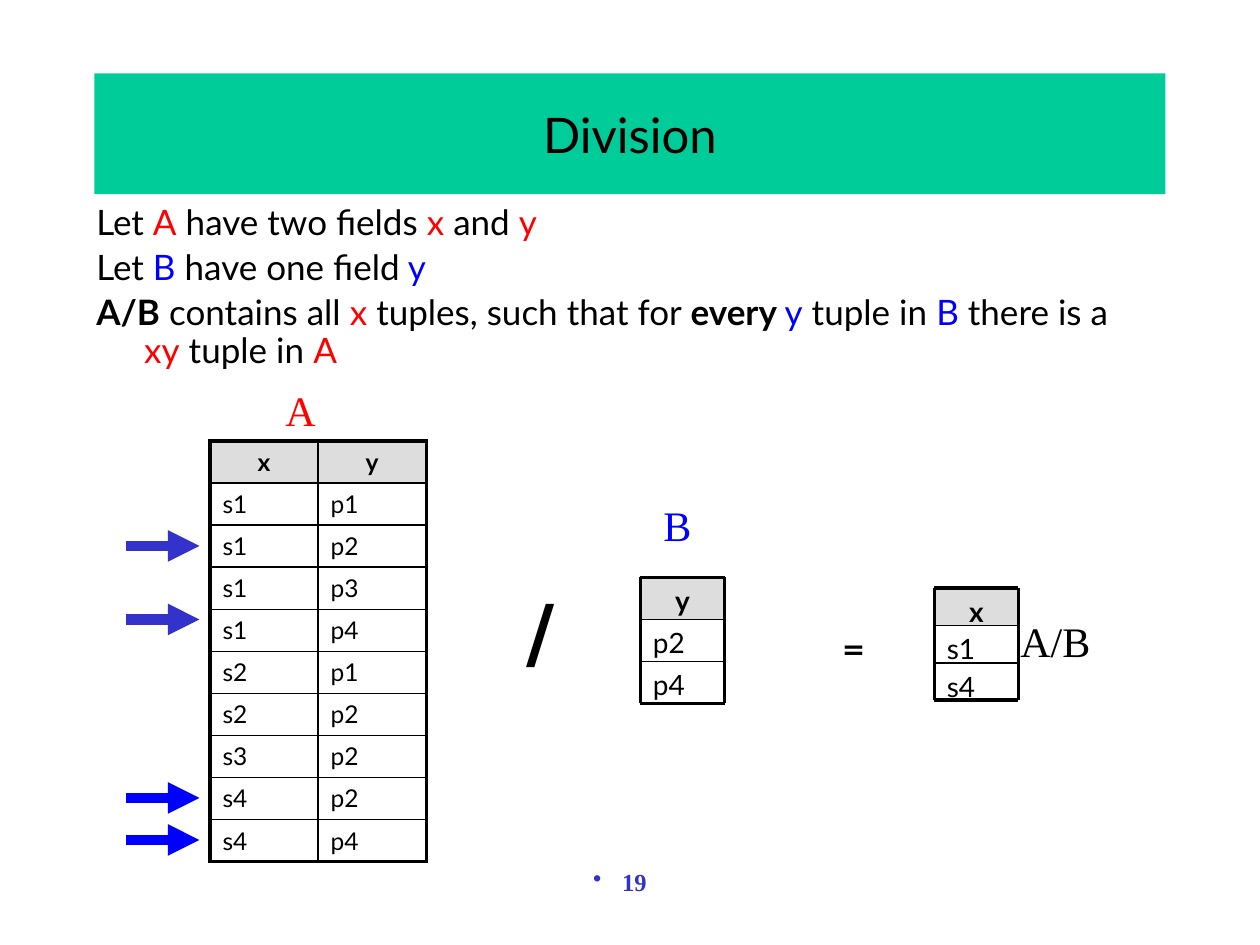
"""Build a slide that explains relational division with three small tables."""
from dataclasses import dataclass

from lxml import etree
from pptx import Presentation
from pptx.dml.color import RGBColor
from pptx.enum.shapes import MSO_CONNECTOR, MSO_SHAPE
from pptx.enum.text import MSO_ANCHOR, MSO_AUTO_SIZE, PP_ALIGN
from pptx.oxml.ns import qn
from pptx.util import Inches, Pt

RECT, STRAIGHT = MSO_SHAPE.RECTANGLE, MSO_CONNECTOR.STRAIGHT
LEFT, CENTER = PP_ALIGN.LEFT, PP_ALIGN.CENTER
TOP, MIDDLE = MSO_ANCHOR.TOP, MSO_ANCHOR.MIDDLE
FIT, NO_FIT = MSO_AUTO_SIZE.SHAPE_TO_FIT_TEXT, MSO_AUTO_SIZE.NONE
COLS, ROWS = 120, 90


@dataclass(frozen=True)
class Theme:
    sans: str = "Lato"
    serif: str = "Times New Roman"
    symbol: str = "DejaVu Sans"
    ink: str = "000000"
    red: str = "FF0000"
    blue: str = "0000FF"
    indigo: str = "3333CC"
    green: str = "00CC99"
    grey: str = "DDDDDD"
    title: int = 28
    body: int = 20
    label: int = 24
    cell: int = 14
    small_cell: int = 16
    slash: int = 44
    thick: float = 2.25
    thin: float = 1
    arrow: float = 6


T = Theme()


@dataclass(frozen=True)
class Box:
    x: float
    y: float
    w: float
    h: float

    def emu(self) -> list:
        return [grid(v) for v in (self.x, self.y, self.w, self.h)]


@dataclass(frozen=True)
class Run:
    text: str
    color: str = T.ink
    bold: bool = False


@dataclass(frozen=True)
class Style:
    size: float
    font: str = T.sans
    align: PP_ALIGN = LEFT
    before: float = 0


@dataclass(frozen=True)
class Label:
    box: Box
    run: Run
    style: Style


@dataclass(frozen=True)
class OneColumn:
    box: Box
    values: tuple


@dataclass(frozen=True)
class Arrow:
    y: float
    color: str


def grid(units: float) -> int:
    """Turn grid units into a length."""
    return Inches(units * 10 / COLS)


def rgb(color: str) -> RGBColor:
    """Turn a hex string into a colour."""
    return RGBColor.from_string(color)


def write(p, runs: list, style: Style) -> None:
    """Write runs into a paragraph."""
    p.alignment = style.align
    p.space_before = Pt(style.size * style.before)
    for run in runs:
        r = p.add_run()
        r.text = run.text
        r.font.name, r.font.size, r.font.bold = style.font, Pt(style.size), run.bold
        r.font.color.rgb = rgb(run.color)


def add_text(s, box: Box, lines: list, style: Style, wrap: bool = True):
    """Add a text box and return its text frame."""
    tf = s.shapes.add_textbox(*box.emu()).text_frame
    tf.word_wrap = wrap
    tf.auto_size = NO_FIT if wrap else FIT
    for i, runs in enumerate(lines):
        write(tf.add_paragraph() if i else tf.paragraphs[0], runs, style)
    return tf


def add_band(s, box: Box, color: str, run: Run, style: Style, anchor: MSO_ANCHOR) -> None:
    """Add a filled rectangle with one line of text."""
    sp = s.shapes.add_shape(RECT, *box.emu())
    sp.shadow.inherit = False
    sp.fill.solid()
    sp.fill.fore_color.rgb = rgb(color)
    sp.line.fill.background()
    tf = sp.text_frame
    tf.word_wrap = True
    tf.vertical_anchor = anchor
    write(tf.paragraphs[0], [run], style)


def add_line(s, x1: float, y1: float, x2: float, y2: float, width: float, color: str = T.ink):
    """Add a straight line without a shadow."""
    line = s.shapes.add_connector(STRAIGHT, *[grid(v) for v in (x1, y1, x2, y2)])
    line.line.width = Pt(width)
    line.line.color.rgb = rgb(color)
    etree.SubElement(line._element.spPr, qn("a:effectLst"))
    return line


def add_arrow(s, arrow: Arrow) -> None:
    """Add a thick arrow that points at a table row."""
    line = add_line(s, 12, arrow.y, 19, arrow.y, T.arrow, arrow.color)
    etree.SubElement(line.line._get_or_add_ln(), qn("a:tailEnd"), type="triangle")


def add_one_column(s, col: OneColumn) -> None:
    """Draw a ruled column with a shaded heading."""
    b, n = col.box, len(col.values)
    step = b.h / n
    for i, value in enumerate(col.values):
        cell = Box(b.x, b.y + i * step, b.w, step)
        run = Run(value, bold=i == 0)
        style = Style(T.small_cell, align=LEFT if i else CENTER, before=0.2)
        if i:
            add_text(s, cell, [[run]], style)
        else:
            add_band(s, cell, T.grey, run, style, TOP)
    for i in range(n + 1):
        y = b.y + i * step
        add_line(s, b.x, y, b.x + b.w, y, T.thick if i in (0, n) else T.thin)
    for x in (b.x, b.x + b.w):
        add_line(s, x, b.y, x, b.y + b.h, T.thick)


def set_borders(cell, outer: dict) -> None:
    """Rule the four sides of a cell, thick on the outer ones."""
    tc_pr = cell._tc.get_or_add_tcPr()
    for i, (side, is_outer) in enumerate(outer.items()):
        ln = etree.Element(qn(f"a:ln{side}"), w=str(Pt(T.thick if is_outer else T.thin)))
        fill = etree.SubElement(ln, qn("a:solidFill"))
        etree.SubElement(fill, qn("a:srgbClr"), val=T.ink)
        tc_pr.insert(i, ln)


def add_table(s, box: Box, rows: list) -> None:
    """Add a ruled table with a shaded heading row."""
    n, m = len(rows), len(rows[0])
    table = s.shapes.add_table(n, m, *box.emu()).table
    table.first_row = table.horz_banding = False
    for i, row in enumerate(rows):
        table.rows[i].height = grid(box.h / n)
        for j, value in enumerate(row):
            cell = table.cell(i, j)
            if i:
                cell.fill.background()
            else:
                cell.fill.solid()
                cell.fill.fore_color.rgb = rgb(T.grey)
            set_borders(cell, {"L": j == 0, "R": j == m - 1, "T": i == 0, "B": i == n - 1})
            style = Style(T.cell, align=LEFT if i else CENTER)
            write(cell.text_frame.paragraphs[0], [Run(value, bold=i == 0)], style)


def add_page_number(s, number: str) -> None:
    """Add the bulleted page number at the foot."""
    run = Run(number, T.indigo, True)
    tf = add_text(s, Box(6, 82, 108, 6), [[run]], Style(T.cell, T.serif, CENTER))
    p_pr = tf.paragraphs[0]._p.get_or_add_pPr()
    p_pr.set("marL", str(Inches(0.06)))
    p_pr.set("indent", str(-Inches(0.23)))
    etree.SubElement(p_pr, qn("a:buChar"), char="•")


def add_body(s) -> None:
    """Add the definition with hanging indents."""
    red, blue = T.red, T.blue
    lines = [
        [Run("Let "), Run("A", red), Run(" have two fields "), Run("x", red),
         Run(" and "), Run("y", red)],
        [Run("Let "), Run("B", blue), Run(" have one field"), Run(" y", blue)],
        [Run("A/B", bold=True), Run(" contains all "), Run("x", red),
         Run(" tuples, such that for "), Run("every ", bold=True), Run("y", blue),
         Run(" tuple in "), Run("B", blue), Run(" there is a "), Run("xy", red),
         Run(" tuple in "), Run("A", red)],
    ]
    tf = add_text(s, Box(8, 19, 99.6, 19), lines, Style(T.body, before=0.2))
    for p in tf.paragraphs:
        p.line_spacing = 0.9
        p._p.get_or_add_pPr().set("marL", str(Inches(0.38)))
        p._p.get_or_add_pPr().set("indent", str(-Inches(0.38)))


def main() -> None:
    """Build and save the slide."""
    prs = Presentation()
    prs.slide_width, prs.slide_height = grid(COLS), grid(ROWS)
    s = prs.slides.add_slide(prs.slide_layouts[6])
    add_page_number(s, "19")
    add_band(s, Box(9, 7, 102, 11.5), T.green, Run("Division"), Style(T.title, align=CENTER), MIDDLE)
    add_body(s)
    pairs = ["x y", "s1 p1", "s1 p2", "s1 p3", "s1 p4", "s2 p1", "s2 p2", "s3 p2", "s4 p2", "s4 p4"]
    add_table(s, Box(20, 42, 20.6, 40), [pair.split() for pair in pairs])
    for col in (OneColumn(Box(61, 55, 8, 12), ("y", "p2", "p4")),
                OneColumn(Box(89, 56, 8, 10.7), ("x", "s1", "s4"))):
        add_one_column(s, col)
    name = Style(T.label, T.serif)
    for label in (
        Label(Box(26, 36, 5.3, 6), Run("A", T.red), name),
        Label(Box(62, 47, 5, 6), Run("B", T.blue), name),
        Label(Box(96, 58, 9.1, 6), Run("A/B"), name),
        Label(Box(49, 55, 7.4, 10), Run("/", bold=True), Style(T.slash, T.symbol, before=0.2)),
        Label(Box(79, 59.6, 4.7, 4.4), Run("=", bold=True), Style(T.small_cell, T.symbol, before=0.2)),
    ):
        add_text(s, label.box, [[label.run]], label.style, wrap=False)
    for arrow in (Arrow(52, T.indigo), Arrow(59, T.indigo), Arrow(76, T.blue), Arrow(80, T.blue)):
        add_arrow(s, arrow)
    prs.save("out.pptx")


if __name__ == "__main__":
    main()
